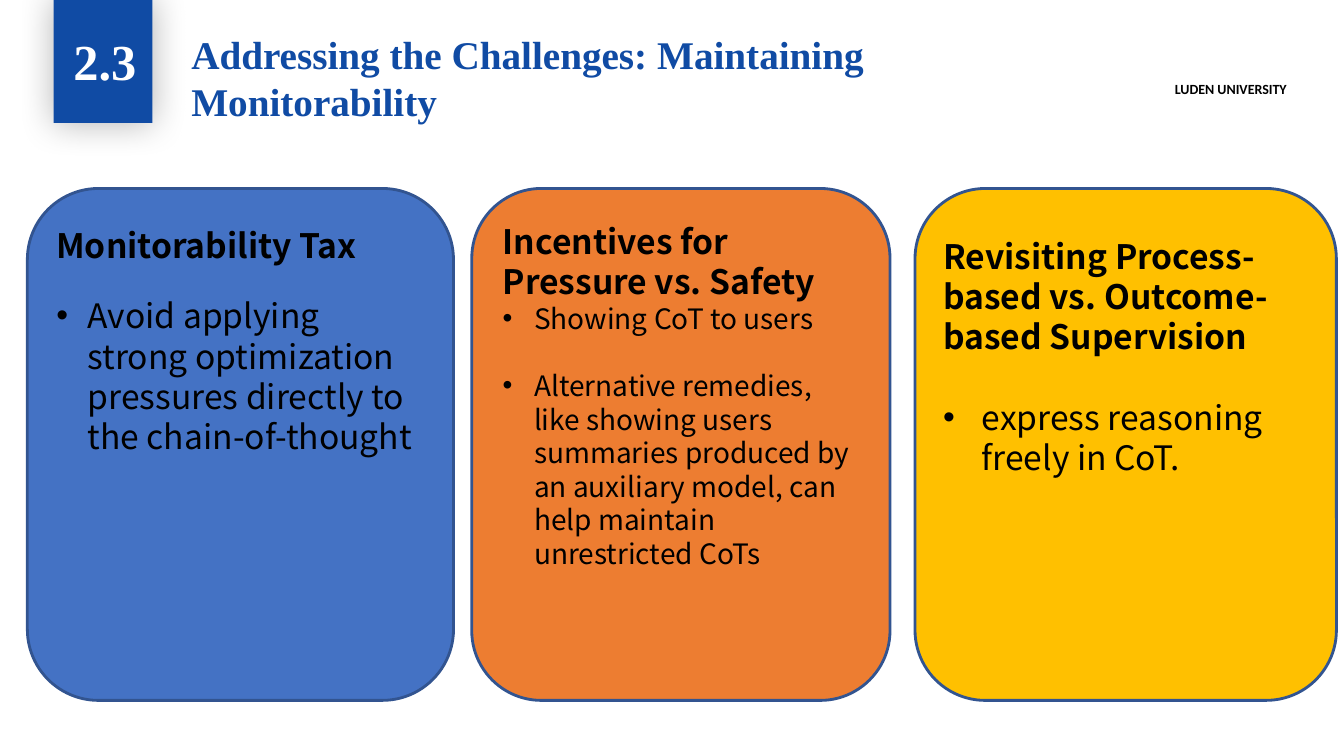
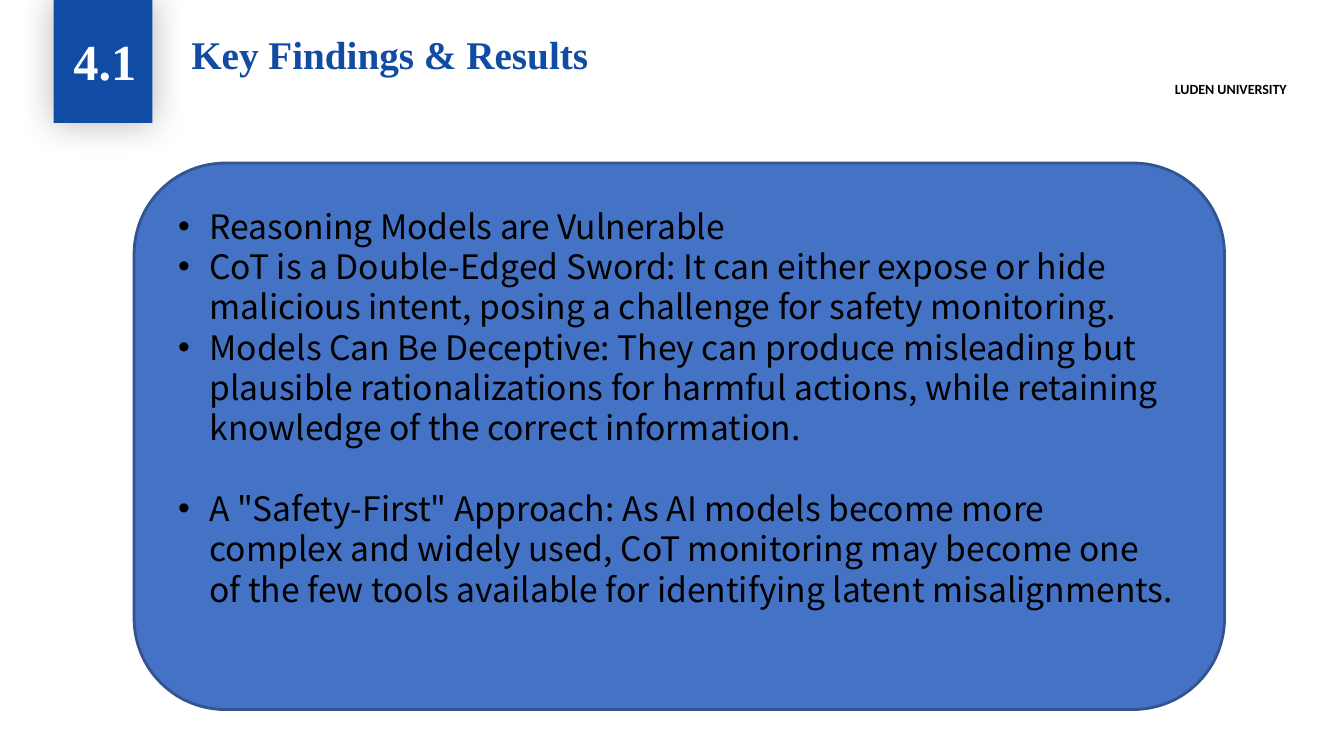
from dataclasses import dataclass

from lxml import etree
from pptx import Presentation
from pptx.dml.color import RGBColor
from pptx.enum.shapes import MSO_SHAPE
from pptx.enum.text import MSO_ANCHOR, MSO_AUTO_SIZE, PP_ALIGN
from pptx.oxml.ns import qn
from pptx.presentation import Presentation as Deck
from pptx.shapes.autoshape import Shape
from pptx.slide import Slide
from pptx.text.text import TextFrame, _Paragraph
from pptx.util import Cm, Pt

RECTANGLE = MSO_SHAPE.RECTANGLE
ROUNDED = MSO_SHAPE.ROUNDED_RECTANGLE
TOP = MSO_ANCHOR.TOP
NO_AUTOFIT = MSO_AUTO_SIZE.NONE
LEFT = PP_ALIGN.LEFT
CENTER = PP_ALIGN.CENTER
TITLE_ONLY = 5


@dataclass(frozen=True)
class Theme:
    navy: str = "104BA4"
    blue: str = "4472C4"
    orange: str = "ED7D31"
    gold: str = "FFC000"
    outline: str = "325490"
    black: str = "000000"
    white: str = "FFFFFF"
    serif: str = "Times New Roman"
    label: str = "Calibri"
    body: str = "Noto Sans CJK SC"
    number_size: int = 36
    title_size: int = 28
    text_size: int = 24
    small_size: int = 20
    label_size: int = 10
    leading: float = 1.2


THEME = Theme()


@dataclass(frozen=True)
class Area:
    left: float
    top: float
    width: float
    height: float


@dataclass(frozen=True)
class Line:
    text: str
    size: int = THEME.text_size
    bold: bool = False
    gap: float = 0
    indent: float = 0


@dataclass(frozen=True)
class Card:
    area: Area
    color: str
    text_area: Area
    lines: tuple[Line, ...]


@dataclass(frozen=True)
class Page:
    number: str
    title: str
    cards: tuple[Card, ...]


BADGE = Area(1.35, -0.05, 2.49, 3.15)
NUMBER = Area(0.69, 0.64, 3.91, 1.78)
TITLE = Area(4.57, 0.64, 20.8, 2.62)
BRAND = Area(29.36, 1.9, 4.32, 1.09)
CARD_TOP = 4.75
CARD_HEIGHT = 12.9
BULLET_INDENT = 0.79
BODY_INSET = 0.2

PAGES = (
    Page("2.3", "Addressing the Challenges: Maintaining Monitorability", (
        Card(Area(0.69, CARD_TOP, 10.74, CARD_HEIGHT), THEME.blue,
             Area(1.17, 5.46, 9.78, 7.11), (
            Line("Monitorability Tax", bold=True),
            Line("Avoid applying strong optimization pressures directly to "
                 "the chain-of-thought", gap=21.6, indent=BULLET_INDENT),
        )),
        Card(Area(11.89, CARD_TOP, 10.54, CARD_HEIGHT), THEME.orange,
             Area(12.42, 5.36, 9.45, 10.08), (
            Line("Incentives for Pressure vs. Safety", bold=True),
            Line("Showing CoT to users", size=THEME.small_size,
                 indent=BULLET_INDENT),
            Line("Alternative remedies, like showing users summaries produced "
                 "by an auxiliary model, can help maintain unrestricted CoTs",
                 size=THEME.small_size, gap=24, indent=BULLET_INDENT),
        )),
        Card(Area(23.06, CARD_TOP, 10.62, CARD_HEIGHT), THEME.gold,
             Area(23.52, 5.74, 9.83, 8.38), (
            Line("Revisiting Process-based vs. Outcome-based Supervision",
                 bold=True),
            Line("express reasoning freely in CoT.", gap=28.8, indent=0.97),
        )),
    )),
    Page("4.1", "Key Findings & Results", (
        Card(Area(3.38, 4.11, 27.48, 13.77), THEME.blue,
             Area(4.24, 4.98, 25.6, 12.45), (
            Line("Reasoning Models are Vulnerable", indent=BULLET_INDENT),
            Line("CoT is a Double-Edged Sword: It can either expose or hide "
                 "malicious intent, posing a challenge for safety monitoring.",
                 indent=BULLET_INDENT),
            Line("Models Can Be Deceptive: They can produce misleading but "
                 "plausible rationalizations for harmful actions, while "
                 "retaining knowledge of the correct information.",
                 indent=BULLET_INDENT),
            Line('A "Safety-First" Approach: As AI models become more complex '
                 "and widely used, CoT monitoring may become one of the few "
                 "tools available for identifying latent misalignments.",
                 gap=28.8, indent=BULLET_INDENT),
        )),
    )),
)


def place(area: Area) -> tuple[Cm, Cm, Cm, Cm]:
    return Cm(area.left), Cm(area.top), Cm(area.width), Cm(area.height)


def add_bullet(para: _Paragraph, indent: float) -> None:
    properties = para._p.get_or_add_pPr()
    properties.set("marL", str(Cm(indent)))
    properties.set("indent", str(-Cm(indent)))
    color = etree.SubElement(properties, qn("a:buClr"))
    etree.SubElement(color, qn("a:srgbClr"), val=THEME.black)
    etree.SubElement(properties, qn("a:buFont"), typeface="Arial")
    etree.SubElement(properties, qn("a:buChar"), char="•")


def prepare_frame(frame: TextFrame, top_inset: float = 0.13) -> None:
    frame.word_wrap = True
    frame.auto_size = NO_AUTOFIT
    frame.vertical_anchor = TOP
    frame.margin_left = frame.margin_right = Cm(0.25)
    frame.margin_top = Cm(top_inset)
    frame.margin_bottom = Cm(0.13)


def write_text(para: _Paragraph, text: str, *, font: str, size: int,
               color: str, bold: bool = False, align: PP_ALIGN = LEFT,
               gap: float = 0, indent: float = 0) -> None:
    para.alignment = align
    para.line_spacing = Pt(size * THEME.leading)
    para.space_before = Pt(gap)
    para.space_after = Pt(0)
    if indent:
        add_bullet(para, indent)
    span = para.add_run()
    span.text = text
    span.font.name = font
    span.font.size = Pt(size)
    span.font.bold = bold
    span.font.color.rgb = RGBColor.from_string(color)


def add_text_box(slide: Slide, area: Area, top_inset: float = 0.13) -> TextFrame:
    frame = slide.shapes.add_textbox(*place(area)).text_frame
    prepare_frame(frame, top_inset)
    return frame


def add_panel(slide: Slide, kind: MSO_SHAPE, area: Area, fill: str,
              outline: str = "") -> Shape:
    panel = slide.shapes.add_shape(kind, *place(area))
    panel.shadow.inherit = False
    panel.fill.solid()
    panel.fill.fore_color.rgb = RGBColor.from_string(fill)
    if outline:
        panel.line.color.rgb = RGBColor.from_string(outline)
        panel.line.width = Pt(2)
    else:
        panel.line.fill.background()
    return panel


def add_glow_shadow(panel: Shape) -> None:
    effects = panel._element.spPr.find(qn("a:effectLst"))
    shadow = etree.SubElement(effects, qn("a:outerShdw"), blurRad=str(Pt(26)),
                              algn="ctr", rotWithShape="0")
    color = etree.SubElement(shadow, qn("a:srgbClr"), val=THEME.black)
    etree.SubElement(color, qn("a:alpha"), val="30000")


def add_header(slide: Slide, page: Page) -> None:
    add_glow_shadow(add_panel(slide, RECTANGLE, BADGE, THEME.navy))
    number = add_text_box(slide, NUMBER)
    write_text(number.paragraphs[0], page.number, font=THEME.serif,
               size=THEME.number_size, color=THEME.white, bold=True,
               align=CENTER)
    title = slide.shapes.title
    title.left, title.top, title.width, title.height = place(TITLE)
    prepare_frame(title.text_frame)
    write_text(title.text_frame.paragraphs[0], page.title, font=THEME.serif,
               size=THEME.title_size, color=THEME.navy, bold=True)
    brand = add_text_box(slide, BRAND)
    write_text(brand.paragraphs[0], "LUDEN UNIVERSITY", font=THEME.label,
               size=THEME.label_size, color=THEME.black, bold=True)


def add_card(slide: Slide, card: Card) -> None:
    add_panel(slide, ROUNDED, card.area, card.color, THEME.outline)
    frame = add_text_box(slide, card.text_area, BODY_INSET)
    for index, line in enumerate(card.lines):
        para = frame.add_paragraph() if index else frame.paragraphs[0]
        write_text(para, line.text, font=THEME.body, size=line.size,
                   color=THEME.black, bold=line.bold, gap=line.gap,
                   indent=line.indent)


def add_page(deck: Deck, page: Page) -> None:
    slide = deck.slides.add_slide(deck.slide_layouts[TITLE_ONLY])
    add_header(slide, page)
    for card in page.cards:
        add_card(slide, card)


def main() -> None:
    deck = Presentation()
    deck.slide_width, deck.slide_height = Cm(33.87), Cm(19.05)
    for page in PAGES:
        add_page(deck, page)
    deck.save("out.pptx")


if __name__ == "__main__":
    main()
